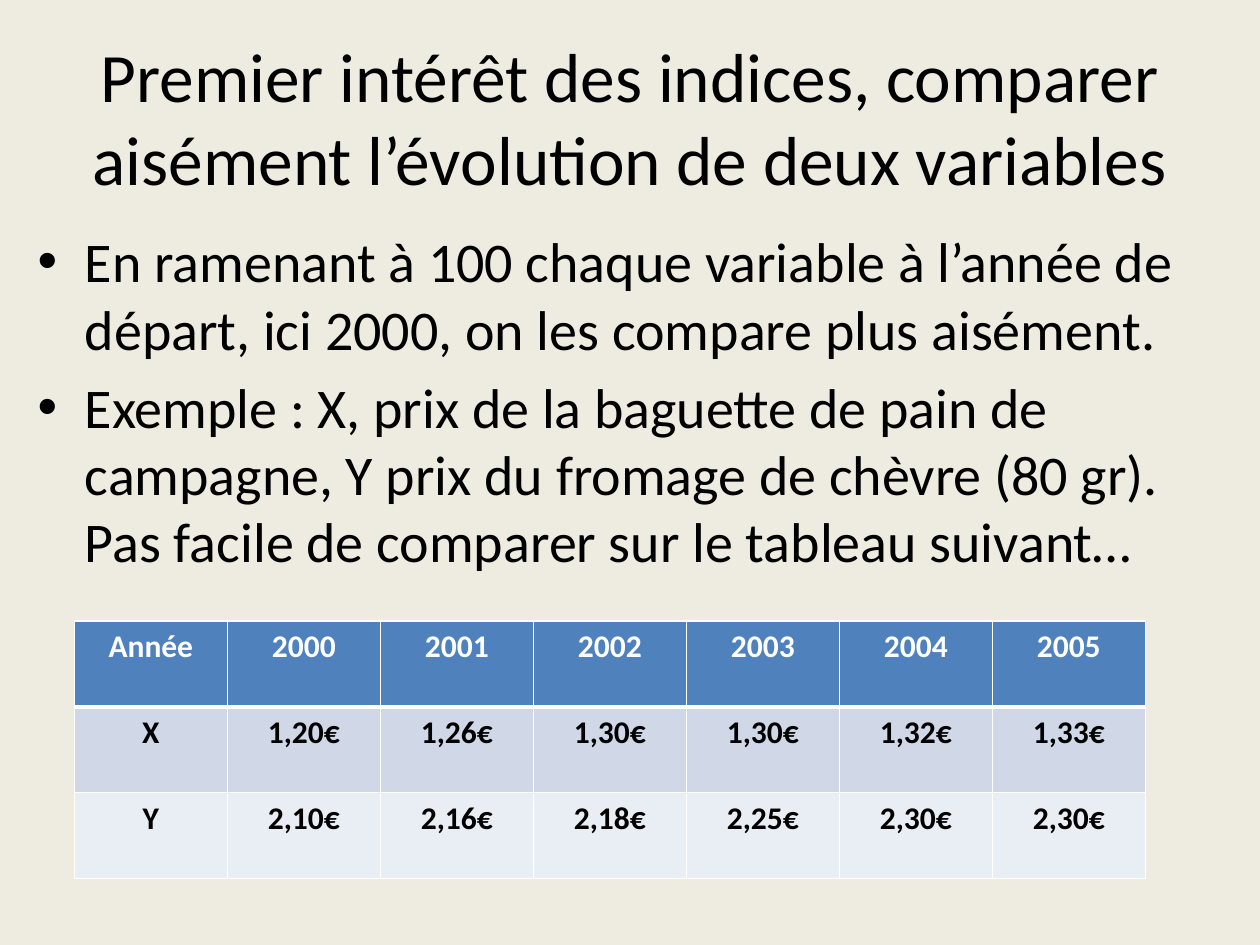
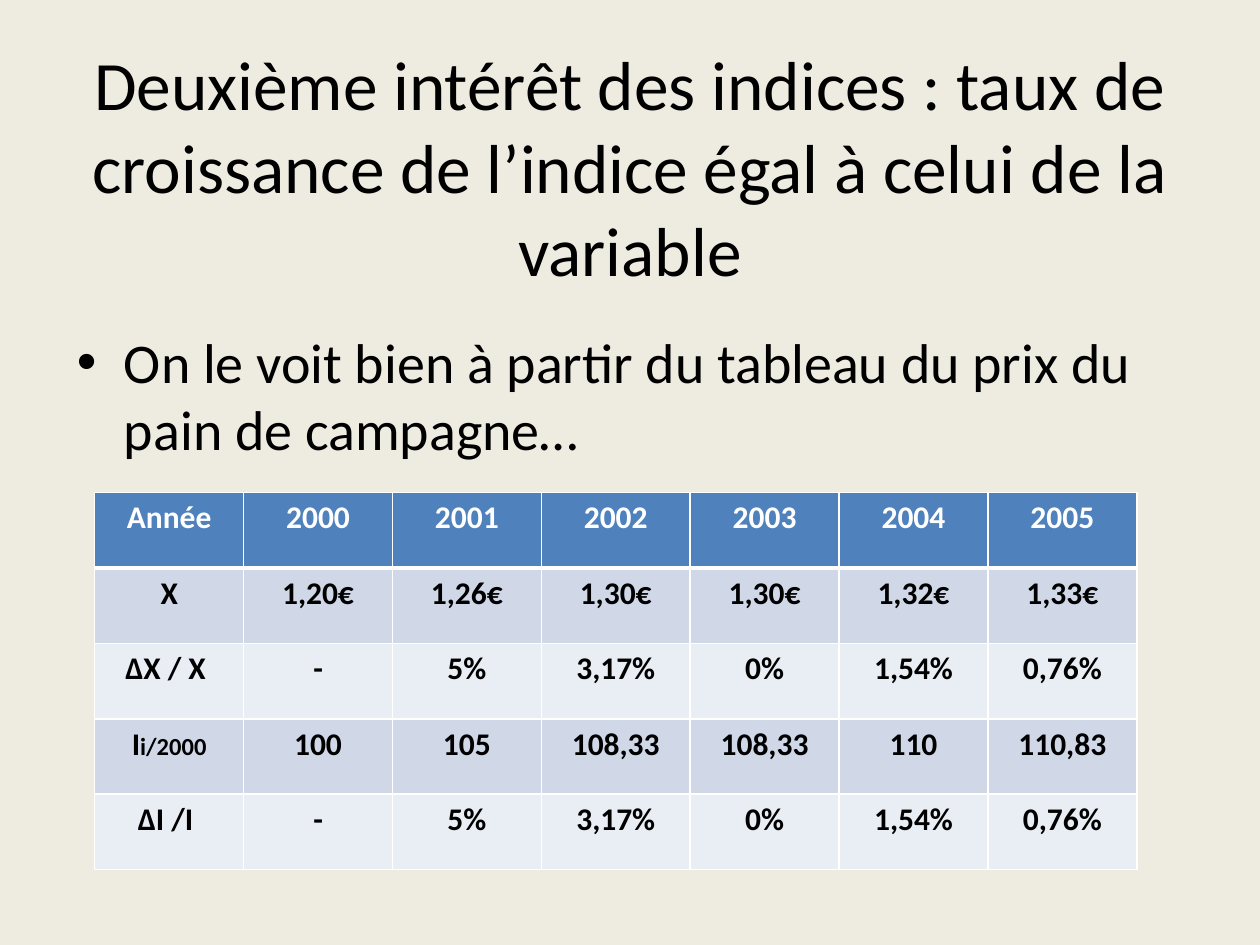
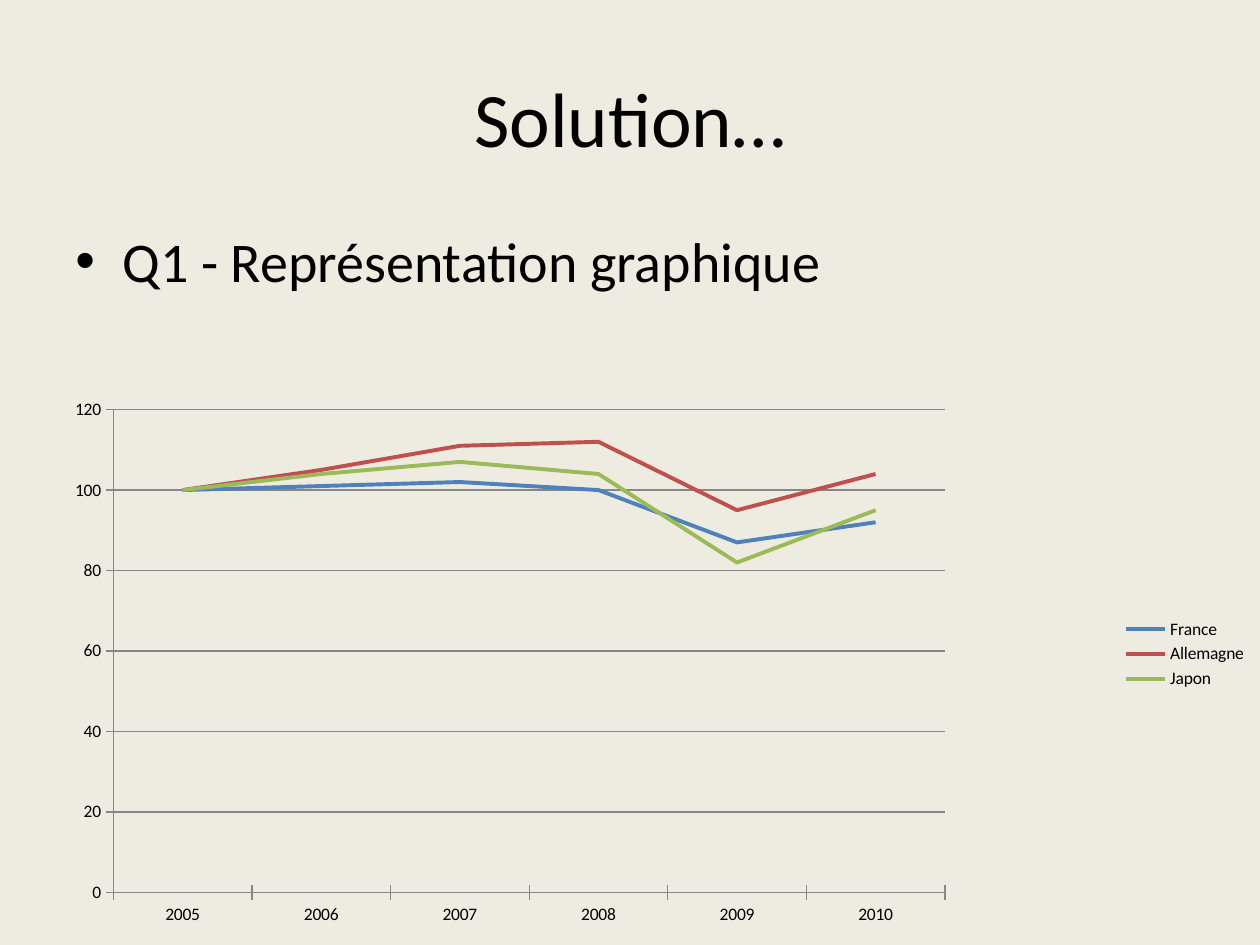
from typing import NamedTuple

from lxml import etree
from pptx import Presentation
from pptx.chart.data import CategoryChartData
from pptx.dml.color import RGBColor
from pptx.enum.chart import XL_CHART_TYPE as ChartType
from pptx.enum.chart import XL_LEGEND_POSITION as LegendPosition
from pptx.enum.chart import XL_TICK_MARK as TickMark
from pptx.enum.text import MSO_ANCHOR as Anchor
from pptx.enum.text import MSO_AUTO_SIZE as AutoSize
from pptx.enum.text import PP_ALIGN as Align
from pptx.oxml import parse_xml
from pptx.oxml.ns import nsdecls, qn
from pptx.util import Cm, Pt

FONT = "Calibri"
COLORS = {
    "background": "EEECE1",
    "text": "000000",
    "white": "FFFFFF",
    "header": "4F81BD",
    "odd_row": "D0D8E8",
    "even_row": "E9EDF4",
    "axis": "878787",
    "France": "4F81BD",
    "Allemagne": "C0504D",
    "Japon": "9BBB59",
}
BODY_SIZE = 32
TABLE_SIZE = 18
SUBSCRIPT_SIZE = 14
HANGING_INDENT = Cm(0.95)


class Box(NamedTuple):
    """Left, top, width and height in centimetres."""

    left: float
    top: float
    width: float
    height: float

    def lengths(self) -> list:
        return [Cm(value) for value in self]


class IndexSeries(NamedTuple):
    country: str
    values: tuple


TITLE_BOX = Box(1.27, 0.76, 22.86, 3.18)
YEARS = ["Année", "2000", "2001", "2002", "2003", "2004", "2005"]
BREAD_PRICES = ["X", "1,20€", "1,26€", "1,30€", "1,30€", "1,32€", "1,33€"]
CHEESE_PRICES = ["Y", "2,10€", "2,16€", "2,18€", "2,25€", "2,30€", "2,30€"]
BREAD_INDICES = ["I", "100", "105", "108,33", "108,33", "110", "110,83"]
GROWTH_RATES = ["-", "5%", "3,17%", "0%", "1,54%", "0,76%"]
CHART_YEARS = ["2005", "2006", "2007", "2008", "2009", "2010"]
INDEX_SERIES = [
    IndexSeries("France", (100, 101, 102, 100, 87, 92)),
    IndexSeries("Allemagne", (100, 105, 111, 112, 95, 104)),
    IndexSeries("Japon", (100, 104, 107, 104, 82, 95)),
]


def color(name: str) -> RGBColor:
    return RGBColor.from_string(COLORS[name])


def format_font(font, size: float, color_name: str = "text", bold: bool = False) -> None:
    font.name = FONT
    font.size = Pt(size)
    font.bold = bold
    font.color.rgb = color(color_name)


def add_titled_slide(presentation, title: str, size: float = 39.6, box: Box = TITLE_BOX):
    slide = presentation.slides.add_slide(presentation.slide_layouts[5])
    shape = slide.shapes.title
    shape.left, shape.top, shape.width, shape.height = box.lengths()
    frame = shape.text_frame
    frame.text = title
    frame.auto_size = AutoSize.NONE
    frame.vertical_anchor = Anchor.MIDDLE
    paragraph = frame.paragraphs[0]
    paragraph.alignment = Align.CENTER
    format_font(paragraph.runs[0].font, size)
    return slide


def add_bullets(slide, box: Box, texts: list[str]) -> None:
    frame = slide.shapes.add_textbox(*box.lengths()).text_frame
    frame.word_wrap = True
    frame.text = "\n".join(texts)
    for number, paragraph in enumerate(frame.paragraphs):
        properties = paragraph._p.get_or_add_pPr()
        properties.set("marL", str(HANGING_INDENT))
        properties.set("indent", str(-HANGING_INDENT))
        etree.SubElement(properties, qn("a:buFont")).set("typeface", "Arial")
        etree.SubElement(properties, qn("a:buChar")).set("char", "•")
        if number:
            paragraph.space_before = Pt(0.2 * BODY_SIZE)
        format_font(paragraph.runs[0].font, BODY_SIZE)


def add_cell_borders(cell, row: int) -> None:
    """Draw thin white borders, with a thick one under the header row."""
    widths = {"L": 1, "R": 1, "T": 3 if row == 1 else 1, "B": 3 if row == 0 else 1}
    properties = cell._tc.get_or_add_tcPr()
    for side, width in widths.items():
        properties.append(parse_xml(
            f'<a:ln{side} {nsdecls("a")} w="{Pt(width)}"><a:solidFill>'
            f'<a:srgbClr val="{COLORS["white"]}"/></a:solidFill></a:ln{side}>'
        ))


def add_year_table(slide, box: Box, row_height: float, rows: list[list[str]]):
    frame = slide.shapes.add_table(len(rows), len(YEARS), *box.lengths())
    table = frame.table
    table.horz_banding = False
    for row, texts in enumerate(rows):
        table.rows[row].height = Cm(row_height)
        fill_name = "header" if row == 0 else "odd_row" if row % 2 else "even_row"
        for column, text in enumerate(texts):
            cell = table.cell(row, column)
            add_cell_borders(cell, row)
            cell.fill.solid()
            cell.fill.fore_color.rgb = color(fill_name)
            paragraph = cell.text_frame.paragraphs[0]
            paragraph.text = text
            paragraph.alignment = Align.CENTER
            format_font(paragraph.runs[0].font, TABLE_SIZE, "text" if row else "white", True)
    frame.height = Cm(box.height)
    return table


def set_plot_layout(chart, x: float, y: float, w: float, h: float) -> None:
    """Place the inner plot area, in fractions of the chart."""
    plot_area = chart._chartSpace.chart.plotArea
    for layout in plot_area.findall(qn("c:layout")):
        plot_area.remove(layout)
    places = "".join(f'<c:{key} val="{value}"/>' for key, value in
                     {"x": x, "y": y, "w": w, "h": h}.items())
    plot_area.insert(0, parse_xml(
        f'<c:layout {nsdecls("c")}><c:manualLayout><c:layoutTarget val="inner"/>'
        f'<c:xMode val="edge"/><c:yMode val="edge"/>{places}</c:manualLayout></c:layout>'
    ))


def add_index_chart(slide, box: Box) -> None:
    data = CategoryChartData()
    data.categories = CHART_YEARS
    for series in INDEX_SERIES:
        data.add_series(series.country, series.values)
    chart = slide.shapes.add_chart(ChartType.LINE, *box.lengths(), data).chart
    format_font(chart.font, 10)
    chart.has_title = False
    chart.has_legend = True
    chart.legend.position = LegendPosition.RIGHT
    chart.legend.include_in_layout = False
    chart.plots[0].vary_by_categories = False
    for series in chart.plots[0].series:
        series.smooth = False
        series.format.line.width = Pt(2.25)
        series.format.line.color.rgb = color(series.name)

    value_axis = chart.value_axis
    value_axis.minimum_scale, value_axis.maximum_scale = 0, 120
    value_axis.major_unit = 20
    value_axis.has_major_gridlines = True
    for axis in (chart.category_axis, value_axis):
        axis.major_tick_mark = TickMark.CROSS
    for lines in (chart.category_axis, value_axis, value_axis.major_gridlines):
        lines.format.line.width = Pt(0.75)
        lines.format.line.color.rgb = color("axis")
    set_plot_layout(chart, 0.09, 0.08, 0.66, 0.83)


def build_comparison_slide(presentation) -> None:
    slide = add_titled_slide(
        presentation,
        "Premier intérêt des indices, comparer aisément l’évolution de deux variables",
    )
    add_bullets(slide, Box(0.51, 4.45, 23.8, 13.49), [
        "En ramenant à 100 chaque variable à l’année de départ, ici 2000, "
        "on les compare plus aisément.",
        "Exemple : X, prix de la baguette de pain de campagne, Y prix du fromage "
        "de chèvre (80 gr). Pas facile de comparer sur le tableau suivant…",
    ])
    add_year_table(slide, Box(1.5, 12.52, 21.59, 5.21), 1.73,
                   [YEARS, BREAD_PRICES, CHEESE_PRICES])


def build_growth_slide(presentation) -> None:
    slide = add_titled_slide(
        presentation,
        "Deuxième intérêt des indices : taux de croissance de l’indice égal "
        "à celui de la variable",
        box=Box(0, 0.76, 25.4, 5.16),
    )
    add_bullets(slide, Box(1.3, 6.48, 22.86, 12.57), [
        "On le voit bien à partir du tableau du prix du pain de campagne…",
    ])
    table = add_year_table(slide, Box(1.91, 9.93, 21.01, 7.85), 1.52, [
        YEARS,
        BREAD_PRICES,
        ["ΔX / X ", *GROWTH_RATES],
        BREAD_INDICES,
        ["ΔI /I ", *GROWTH_RATES],
    ])
    base_year = table.cell(3, 0).text_frame.paragraphs[0].add_run()
    base_year.text = "i/2000"
    format_font(base_year.font, SUBSCRIPT_SIZE, bold=True)


def build_solution_slide(presentation) -> None:
    slide = add_titled_slide(presentation, "Solution…", 44)
    add_bullets(slide, Box(1.27, 4.45, 22.86, 12.57), ["Q1 - Représentation graphique"])
    add_index_chart(slide, Box(0, 7.32, 25.4, 11.73))


def main() -> None:
    presentation = Presentation()
    presentation.slide_width = Cm(25.4)
    presentation.slide_height = Cm(19.05)
    background = presentation.slide_master.background.fill
    background.solid()
    background.fore_color.rgb = color("background")
    build_comparison_slide(presentation)
    build_growth_slide(presentation)
    build_solution_slide(presentation)
    presentation.save("out.pptx")


if __name__ == "__main__":
    main()
